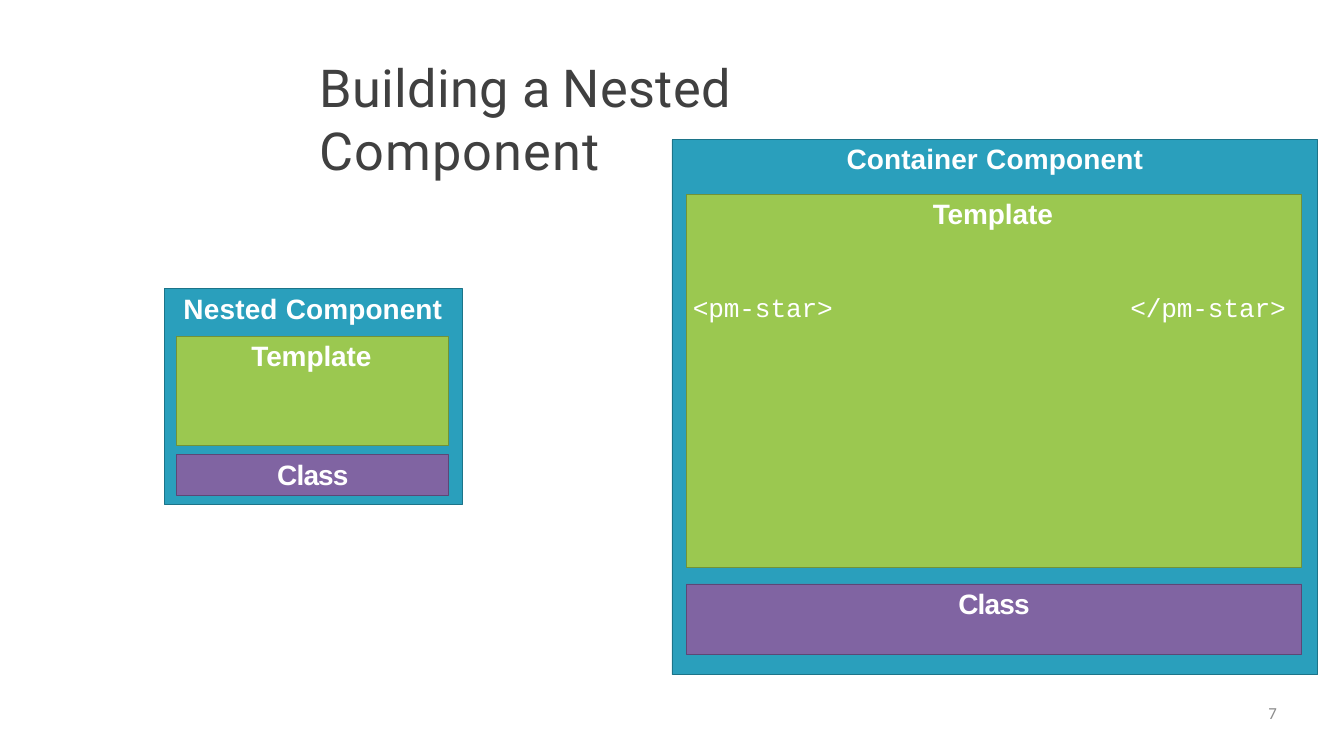
from dataclasses import dataclass

from lxml import etree
from pptx import Presentation
from pptx.dml.color import RGBColor
from pptx.enum.shapes import MSO_SHAPE
from pptx.enum.text import MSO_ANCHOR, PP_ALIGN
from pptx.oxml.ns import qn
from pptx.util import Pt

RECTANGLE = MSO_SHAPE.RECTANGLE
TOP = MSO_ANCHOR.TOP
LEFT, CENTER, RIGHT = PP_ALIGN.LEFT, PP_ALIGN.CENTER, PP_ALIGN.RIGHT

WHITE = "FFFFFF"
TEAL = ("2A9FBC", "1C7489")
GREEN = ("9BC850", "719238")
PURPLE = ("8064A2", "5C4776")


@dataclass(frozen=True)
class Box:
    left: float
    top: float
    width: float
    height: float

    def lengths(self) -> tuple:
        return Pt(self.left), Pt(self.top), Pt(self.width), Pt(self.height)


@dataclass(frozen=True)
class Run:
    text: str
    spacing: float = 0


@dataclass(frozen=True)
class Panel:
    box: Box
    colors: tuple[str, str]
    runs: tuple[Run, ...] = ()
    align: PP_ALIGN = CENTER
    indent: float = 0
    inset: float = 2.9


def hex_color(value: str) -> RGBColor:
    return RGBColor.from_string(value)


def write_text(shape, runs: tuple[Run, ...], *, size: float = 30, font: str = "Arial",
               color: str = WHITE, bold: bool = False, align: PP_ALIGN = LEFT,
               inset: float = 0.7, before: float = 1, indent: float = 0,
               tab: float = 0) -> None:
    frame = shape.text_frame
    frame.word_wrap = True
    frame.vertical_anchor = TOP
    frame.margin_left = frame.margin_right = frame.margin_bottom = 0
    frame.margin_top = Pt(inset)
    paragraph = frame.paragraphs[0]
    paragraph.alignment = align
    paragraph.space_before = Pt(before)
    properties = paragraph._p.get_or_add_pPr()
    if indent:
        properties.set("marL", str(Pt(indent)))
        properties.set("indent", "0")
    if tab:
        tabs = etree.SubElement(properties, qn("a:tabLst"))
        etree.SubElement(tabs, qn("a:tab"), pos=str(Pt(tab)), algn="l")
    for item in runs:
        run = paragraph.add_run()
        run.text = item.text
        run.font.size = Pt(size)
        run.font.name = font
        run.font.bold = bold
        run.font.color.rgb = hex_color(color)
        run._r.get_or_add_rPr().set("spc", str(round(item.spacing * 100)))


def add_label(slide, box: Box, *runs: Run, **text_format) -> None:
    write_text(slide.shapes.add_textbox(*box.lengths()), runs, **text_format)


def add_panel(slide, panel: Panel) -> None:
    shape = slide.shapes.add_shape(RECTANGLE, *panel.box.lengths())
    shape.shadow.inherit = False
    fill, line = panel.colors
    shape.fill.solid()
    shape.fill.fore_color.rgb = hex_color(fill)
    shape.line.color.rgb = hex_color(line)
    shape.line.width = Pt(1)
    if panel.runs:
        write_text(shape, panel.runs, bold=True, align=panel.align,
                   indent=panel.indent, inset=panel.inset, before=2.5)


CLASS_RUNS = (Run("Class", -0.9),)
TEMPLATE_RUN = Run("Template", -0.1)

CONTAINER_PANELS = (
    Panel(Box(720, 149.8, 692, 573), TEAL,
          (Run("Container ", 0.1), Run("Component", 0.2)), inset=2.2),
    Panel(Box(735.1, 625.7, 659.9, 75.6), PURPLE, CLASS_RUNS),
    Panel(Box(735.1, 208.8, 659.9, 398.9), GREEN),
)
NESTED_PANELS = (
    Panel(Box(176.4, 309.6, 319, 231.1), TEAL,
          (Run("Nested ", 0.2), Run("Component", 0.1)), align=LEFT, indent=20.2),
    Panel(Box(189.4, 487.4, 291.6, 43.9), PURPLE, CLASS_RUNS),
    Panel(Box(189.4, 360.7, 291.6, 116.6), GREEN, (TEMPLATE_RUN,),
          align=LEFT, indent=79.9, inset=2.2),
)


def main() -> None:
    presentation = Presentation()
    presentation.slide_width = Pt(1440)
    presentation.slide_height = Pt(810)
    slide = presentation.slides.add_slide(presentation.slide_layouts[6])

    add_label(slide, Box(342, 59, 756, 69.1),
              Run("Building ", 0.3), Run("a ", -1.7),
              Run("Nested ", 0.5), Run("Component", 1.1),
              size=56, font="Roboto", color="404040", indent=0.7)

    for panel in CONTAINER_PANELS:
        add_panel(slide, panel)
    add_label(slide, Box(999.4, 210.2, 132.5, 38.2), TEMPLATE_RUN, bold=True)
    add_label(slide, Box(742.3, 311.8, 637.9, 35.3),
              Run("<pm-star>\t</pm-star>", -0.1),
              size=28, font="Courier New", tab=468.7)

    for panel in NESTED_PANELS:
        add_panel(slide, panel)

    add_label(slide, Box(1036.8, 753.1, 331.2, 40.3), Run("7"), size=18,
              font="Calibri", color="8C8C8C", align=RIGHT, inset=0, before=0)

    presentation.save("out.pptx")


if __name__ == "__main__":
    main()
